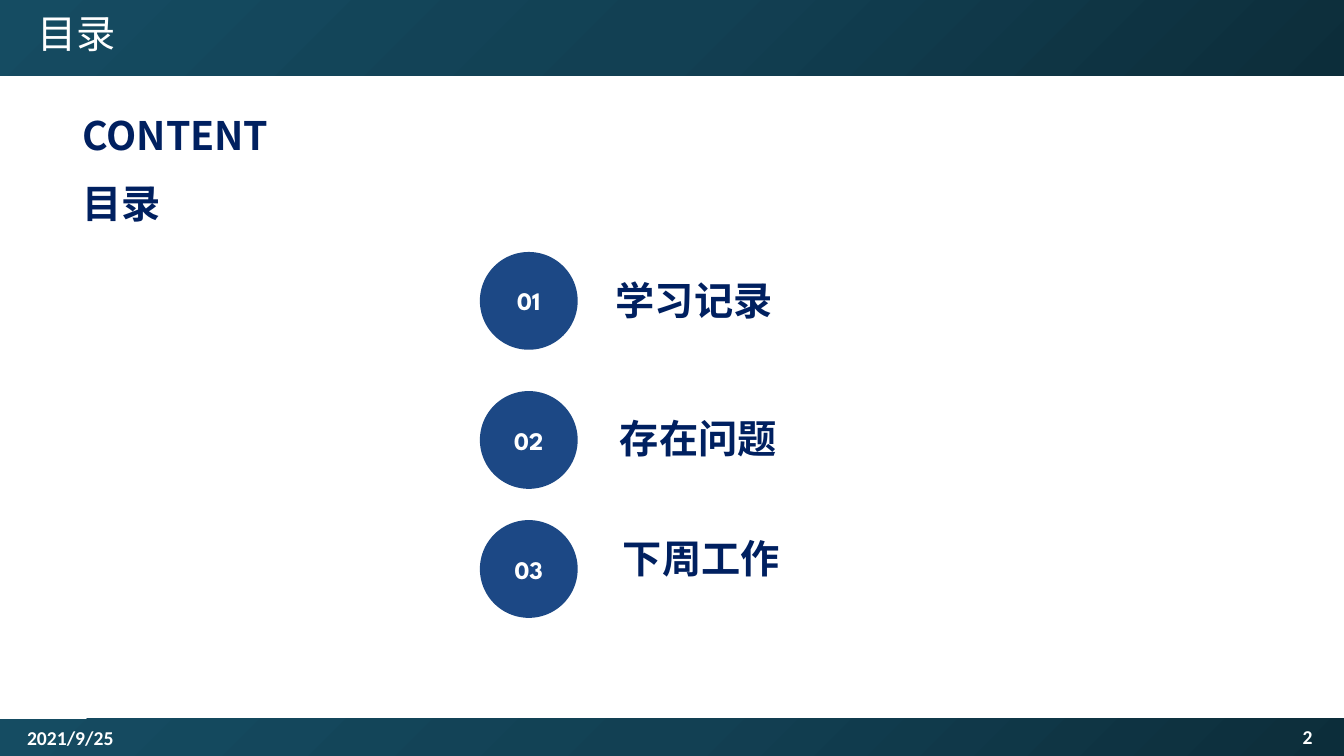
from dataclasses import dataclass

from lxml.etree import SubElement
from pptx import Presentation
from pptx.dml.color import RGBColor
from pptx.enum.shapes import MSO_SHAPE
from pptx.enum.text import MSO_ANCHOR, PP_ALIGN
from pptx.oxml.ns import qn
from pptx.util import Inches, Pt


@dataclass(frozen=True)
class Theme:
    """Colours, fonts and type sizes of the slide."""
    white: str = "FFFFFF"
    navy: str = "002060"
    badge: str = "1C4885"
    band_stops: tuple = ((0, "0C2D3A"), (50, "124053"), (100, "154C62"))
    cjk_font: str = "Noto Sans CJK SC"
    footer_font: str = "Calibri"
    number_font: str = "League Spartan"
    heading_size: int = 28
    number_size: int = 18
    footer_size: int = 14


THEME = Theme()


def lengths(box):
    """Convert a (left, top, width, height) box to lengths."""
    return [Inches(value) for value in box]


def write(frame, wording, font, size, color, bold=True, align=None):
    """Put one styled paragraph in a text frame and return it."""
    frame.word_wrap = True
    paragraph = frame.paragraphs[0]
    paragraph.text = wording
    paragraph.alignment = align
    style = paragraph.font
    style.size, style.bold, style.name = Pt(size), bold, font
    style.color.rgb = RGBColor.from_string(color)
    SubElement(style._rPr, qn("a:ea"), typeface=font)
    return paragraph


def add_label(slide, box, wording, font, size, color, **style):
    """Add a text box holding one paragraph and return the paragraph."""
    frame = slide.shapes.add_textbox(*lengths(box)).text_frame
    return write(frame, wording, font, size, color, **style)


def add_heading(slide, box, wording, align=PP_ALIGN.JUSTIFY):
    """Add a bold navy heading."""
    add_label(slide, box, wording, THEME.cjk_font, THEME.heading_size,
              THEME.navy, align=align)


def add_band(slide, box):
    """Add a full-width band whose gradient spreads from its lower right corner."""
    band = slide.shapes.add_shape(MSO_SHAPE.RECTANGLE, *lengths(box))
    band.shadow.inherit = False
    band.line.fill.background()
    band.fill.gradient()
    gradient = band._element.spPr.find(qn("a:gradFill"))
    for child in list(gradient):
        gradient.remove(child)
    stops = SubElement(gradient, qn("a:gsLst"))
    for percent, color in THEME.band_stops:
        stop = SubElement(stops, qn("a:gs"), pos=str(percent * 1000))
        SubElement(stop, qn("a:srgbClr"), val=color)
    spread = SubElement(gradient, qn("a:path"))
    spread.set("path", "circle")
    SubElement(spread, qn("a:fillToRect"), l="100000", t="100000")


def add_header(slide, box, title):
    """Add the top band with the slide title."""
    left, top, _, _ = box
    add_band(slide, box)
    paragraph = add_label(slide, (left + 0.27, top + 0.15, 4.48, 0.52), title,
                          THEME.cjk_font, THEME.heading_size, THEME.white,
                          bold=False)
    paragraph.line_spacing = 0.9


def add_footer(slide, box, date, page):
    """Add the bottom band with the date and the page number."""
    left, top, width, height = box
    add_band(slide, box)
    date_box = (left + 0.17, top + 0.02, 3, height)
    page_box = (left + width - 0.51, top + 0.01, 0.48, height)
    for label_box, wording in ((date_box, date), (page_box, page)):
        add_label(slide, label_box, wording, THEME.footer_font,
                  THEME.footer_size, THEME.white)


def add_section_title(slide, box, lines):
    """Stack the heading lines evenly in the box."""
    left, top, width, height = box
    pitch = height / len(lines)
    for index, wording in enumerate(lines):
        add_heading(slide, (left, top + index * pitch, width, 0.57), wording)


def add_entry(slide, box, number, topic, topic_offset, align):
    """Add a numbered circle at the left of the box and its topic beside it."""
    left, top, width, diameter = box
    badge = slide.shapes.add_shape(
        MSO_SHAPE.OVAL, *lengths((left, top, diameter, diameter)))
    badge.shadow.inherit = False
    badge.fill.solid()
    badge.fill.fore_color.rgb = RGBColor.from_string(THEME.badge)
    badge.line.fill.background()
    badge.text_frame.vertical_anchor = MSO_ANCHOR.MIDDLE
    write(badge.text_frame, f"{number:02d}", THEME.number_font,
          THEME.number_size, THEME.white, align=PP_ALIGN.CENTER)
    shift, drop = topic_offset
    add_heading(slide, (left + shift, top + drop, width - shift, 0.57),
                topic, align)


def add_agenda(slide, box, entries):
    """Add the numbered entries, each at its own drop below the box top."""
    left, top, width, diameter = box
    for number, (drop, topic, offset, align) in enumerate(entries, start=1):
        add_entry(slide, (left, top + drop, width, diameter),
                  number, topic, offset, align)


def build_contents_slide(deck):
    """Add the contents slide to the deck."""
    slide = deck.slides.add_slide(deck.slide_layouts[6])
    add_footer(slide, (0, 7.13, 13.33, 0.4), "2021/9/25", "2")
    add_header(slide, (0, -0.05, 13.33, 0.8), "目录")
    add_section_title(slide, (0.72, 1.06, 2.54, 1.34), ("CONTENT", "目录"))
    add_agenda(slide, (4.76, 2.5, 3.15, 0.97), (
        (0, "学习记录", (1.25, 0.19), PP_ALIGN.LEFT),
        (1.38, "存在问题", (1.29, 0.18), PP_ALIGN.JUSTIFY),
        (2.66, "下周工作", (1.32, 0.09), PP_ALIGN.JUSTIFY),
    ))


deck = Presentation()
deck.slide_width, deck.slide_height = Inches(13.33), Inches(7.5)
build_contents_slide(deck)
deck.save("out.pptx")
